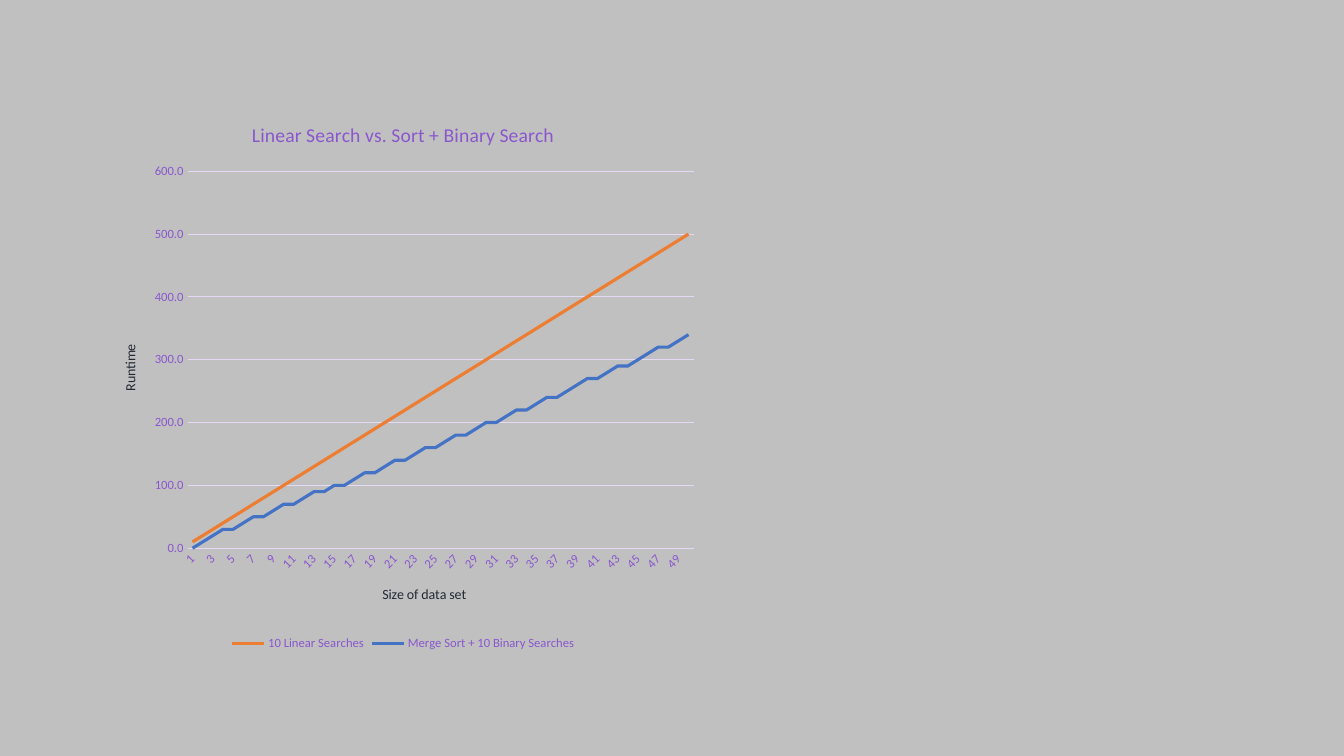
from math import log2

from lxml import etree
from pptx import Presentation
from pptx.chart.data import CategoryChartData
from pptx.dml.color import RGBColor
from pptx.enum.chart import XL_CHART_TYPE, XL_LEGEND_POSITION, XL_TICK_MARK
from pptx.oxml.ns import qn
from pptx.util import Inches, Pt

FONT = "Calibri"
PURPLE, DARK, LILAC = "8A57CE", "222A35", "E4D8F4"
SEARCHES = 10
SIZES = range(1, 51)
SERIES = {
    "10 Linear Searches": ("ED7D31", [SEARCHES * n for n in SIZES]),
    "Merge Sort + 10 Binary Searches": (
        "4472C4", [int(round((n + SEARCHES) * log2(n), -1)) for n in SIZES]),
}
# Inner plot area in inches, relative to the chart frame
PLOT_BOX = {"x": 0.86, "y": 0.7, "w": 5.02, "h": 3.74}


def color(hex_value):
    return RGBColor.from_string(hex_value)


def format_font(font, size, hex_value):
    for name, value in {"name": FONT, "size": Pt(size), "bold": False}.items():
        setattr(font, name, value)
    font.color.rgb = color(hex_value)


def format_line(line, width, hex_value):
    line.width = Pt(width)
    line.color.rgb = color(hex_value)


def set_title(owner, text, size, hex_value):
    """Give a chart or an axis its title."""
    frame = (owner.chart_title if hasattr(owner, "chart_title")
             else owner.axis_title).text_frame
    frame.text = text
    format_font(frame.paragraphs[0].runs[0].font, size, hex_value)


def set_plot_layout(chart, width, height):
    plot_area = chart._chartSpace.find(".//" + qn("c:plotArea"))
    for old_layout in plot_area.findall(qn("c:layout")):
        plot_area.remove(old_layout)
    layout = etree.Element(qn("c:layout"))
    manual = etree.SubElement(layout, qn("c:manualLayout"))
    settings = {"layoutTarget": "inner", "xMode": "edge", "yMode": "edge"}
    for name, length in PLOT_BOX.items():
        settings[name] = length / (width if name in "xw" else height)
    for name, value in settings.items():
        etree.SubElement(manual, qn(f"c:{name}")).set("val", str(value))
    plot_area.insert(0, layout)


def format_axes(chart):
    category_axis, value_axis = chart.category_axis, chart.value_axis
    for axis, title in ((category_axis, "Size of data set"), (value_axis, "Runtime")):
        axis.major_tick_mark = axis.minor_tick_mark = XL_TICK_MARK.NONE
        format_font(axis.tick_labels.font, 9, PURPLE)
        set_title(axis, title, 10, DARK)

    # Slanted labels, every second size
    format_line(category_axis.format.line, 0.75, LILAC)
    element = category_axis._element
    element.find(qn("c:txPr")).find(qn("a:bodyPr")).set("rot", "-2700000")
    skip = etree.Element(qn("c:tickLblSkip"), val="2")
    element.find(qn("c:noMultiLvlLbl")).addprevious(skip)

    # Value axis with gridlines only
    value_axis.minimum_scale, value_axis.maximum_scale = 0, 600
    value_axis.major_unit = 100
    value_axis.format.line.fill.background()
    format_line(value_axis.major_gridlines.format.line, 0.75, LILAC)
    value_axis.tick_labels.number_format = "0.0"
    value_axis.tick_labels.number_format_is_linked = False


def add_runtime_chart(slide, left, top, width, height):
    data = CategoryChartData(number_format="0.0")
    data.categories = [str(n) for n in SIZES]
    for name, (_, values) in SERIES.items():
        data.add_series(name, values)
    chart = slide.shapes.add_chart(
        XL_CHART_TYPE.LINE, Inches(left), Inches(top),
        Inches(width), Inches(height), data).chart
    format_font(chart.font, 10, PURPLE)
    set_title(chart, "Linear Search vs. Sort + Binary Search", 14, PURPLE)
    set_plot_layout(chart, width, height)
    format_axes(chart)

    # Lines
    chart.plots[0].vary_by_categories = False
    for series in chart.plots[0].series:
        series.smooth = False
        format_line(series.format.line, 2.25, SERIES[series.name][0])

    # Legend
    chart.has_legend = True
    chart.legend.position = XL_LEGEND_POSITION.BOTTOM
    chart.legend.include_in_layout = False
    format_font(chart.legend.font, 9, PURPLE)


def main():
    presentation = Presentation()
    presentation.slide_width = Inches(13.33)
    presentation.slide_height = Inches(7.5)
    slide = presentation.slides.add_slide(presentation.slide_layouts[6])
    slide.background.fill.solid()
    slide.background.fill.fore_color.rgb = color("C0C0C0")
    add_runtime_chart(slide, 1, 1, 6, 5.5)
    presentation.save("out.pptx")


if __name__ == "__main__":
    main()
